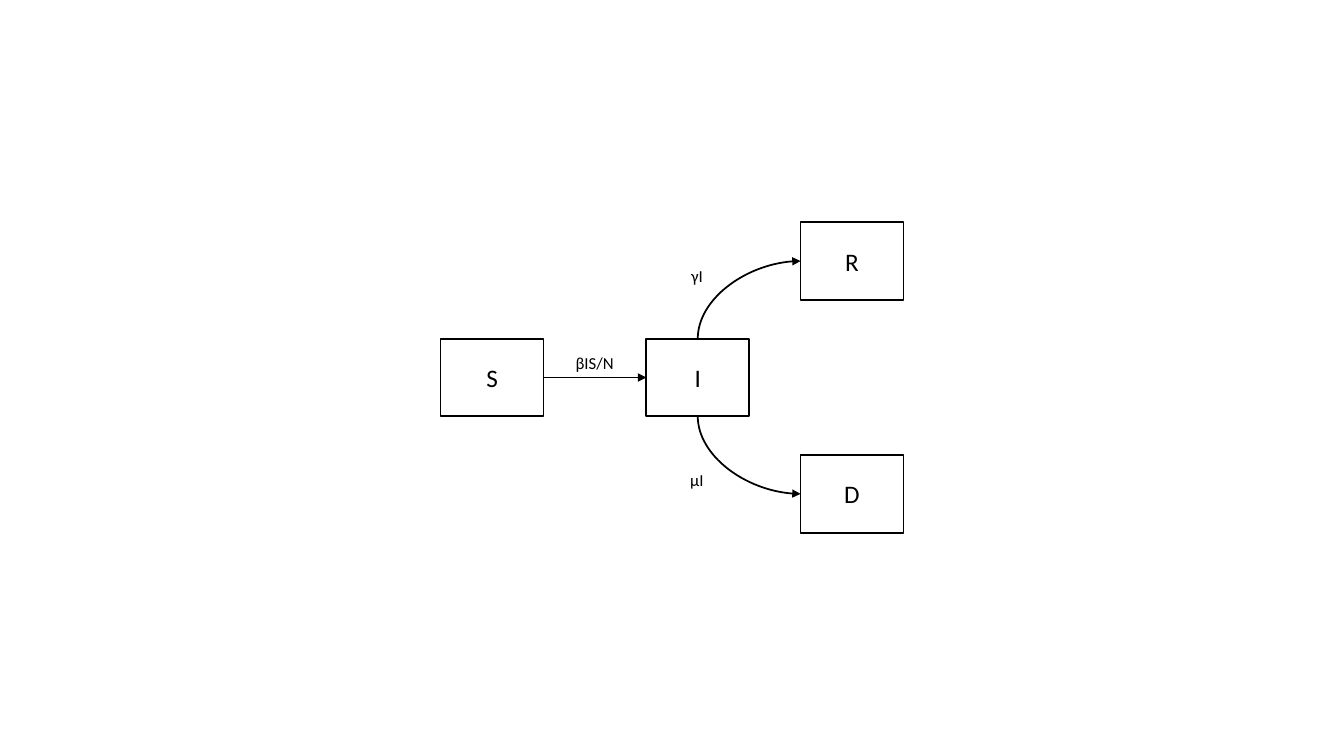
from lxml import etree
from pptx import Presentation
from pptx.dml.color import RGBColor
from pptx.enum.shapes import MSO_CONNECTOR, MSO_SHAPE
from pptx.enum.text import MSO_ANCHOR, MSO_AUTO_SIZE, PP_ALIGN
from pptx.oxml.ns import qn
from pptx.util import Inches, Pt

BLACK = RGBColor(0, 0, 0)
FONT = "Calibri"
LINE_WIDTH = Pt(1.25)
RECTANGLE, CURVE = MSO_SHAPE.RECTANGLE, MSO_CONNECTOR.CURVE
CENTER, MIDDLE = PP_ALIGN.CENTER, MSO_ANCHOR.MIDDLE
FIT_SHAPE = MSO_AUTO_SIZE.SHAPE_TO_FIT_TEXT

# Grid: one column is a box width, one row is a box height
COLUMN, ROW = Inches(1.02), Inches(0.77)
ORIGIN_X, ORIGIN_Y = Inches(4.37), Inches(3.36)
LABEL_HEIGHT = Inches(0.3)

# Connection sites of a rectangle
TOP, LEFT, BOTTOM, RIGHT = range(4)

# Compartment: (column, row)
COMPARTMENTS = {"I": (2, 0), "R": (3.5, -1.5), "D": (3.5, 1.5), "S": (0, 0)}
# Rate: (centre column, top row, width in columns)
RATES = {
    "γI": (2.5, -1, 0.32),
    "μI": (2.5, 1.62, 0.34),
    "βIS/N": (1.5, 0.12, 0.57),
}


def grid_x(column):
    return round(ORIGIN_X + column * COLUMN)


def grid_y(row):
    return round(ORIGIN_Y + row * ROW)


def write(frame, text, size):
    frame.text = text
    para = frame.paragraphs[0]
    font = para.runs[0].font
    font.name, font.size = FONT, Pt(size)
    font.color.rgb = BLACK
    return para


def draw_line(shape):
    shape.line.color.rgb = BLACK
    shape.line.width = LINE_WIDTH


def add_compartment(shapes, name, column, row):
    box = shapes.add_shape(RECTANGLE, grid_x(column), grid_y(row), COLUMN, ROW)
    box.shadow.inherit = False
    box.fill.background()
    draw_line(box)
    box.text_frame.vertical_anchor = MIDDLE
    write(box.text_frame, name, 18).alignment = CENTER
    return box


def add_flow(shapes, source, source_site, target):
    """Add an arrow from a site of the source to the target's left side."""
    flow = shapes.add_connector(CURVE, 0, 0, 0, 0)
    flow.begin_connect(source, source_site)
    flow.end_connect(target, LEFT)
    draw_line(flow)
    properties = flow._element.spPr
    etree.SubElement(properties.find(qn("a:ln")), qn("a:tailEnd"), type="triangle")
    etree.SubElement(properties, qn("a:effectLst"))
    return flow


def bend(flow, upward):
    """Turn the flow into a quarter arc that leaves its source vertically."""
    center_x = (flow.begin_x + flow.end_x) // 2
    center_y = (flow.begin_y + flow.end_y) // 2
    flow.width, flow.height = flow.height, flow.width
    flow.left = center_x - flow.width // 2
    flow.top = center_y - flow.height // 2
    properties = flow._element.spPr
    frame = properties.find(qn("a:xfrm"))
    frame.set("rot", str((90 if upward else 270) * 60000))
    frame.set("flipH", "1")
    frame.set("flipV", "1" if upward else "0")
    properties.find(qn("a:prstGeom")).set("prst", "curvedConnector2")


def add_rate(shapes, text, center, row, width):
    label = shapes.add_textbox(grid_x(center - width / 2), grid_y(row),
                               round(width * COLUMN), LABEL_HEIGHT)
    label.text_frame.word_wrap = False
    label.text_frame.auto_size = FIT_SHAPE
    write(label.text_frame, text, 12)


def main():
    deck = Presentation()
    deck.slide_width, deck.slide_height = Inches(13.33), Inches(7.5)
    page = deck.slides.add_slide(deck.slide_layouts[6])
    diagram = page.shapes.add_group_shape().shapes

    # Compartments
    boxes = {name: add_compartment(diagram, name, *cell)
             for name, cell in COMPARTMENTS.items()}

    # Flows between compartments
    bend(add_flow(diagram, boxes["I"], TOP, boxes["R"]), upward=True)
    bend(add_flow(diagram, boxes["I"], BOTTOM, boxes["D"]), upward=False)
    add_flow(diagram, boxes["S"], RIGHT, boxes["I"])

    # Rates beside the flows
    for text, place in RATES.items():
        add_rate(diagram, text, *place)

    deck.save("out.pptx")


main()
